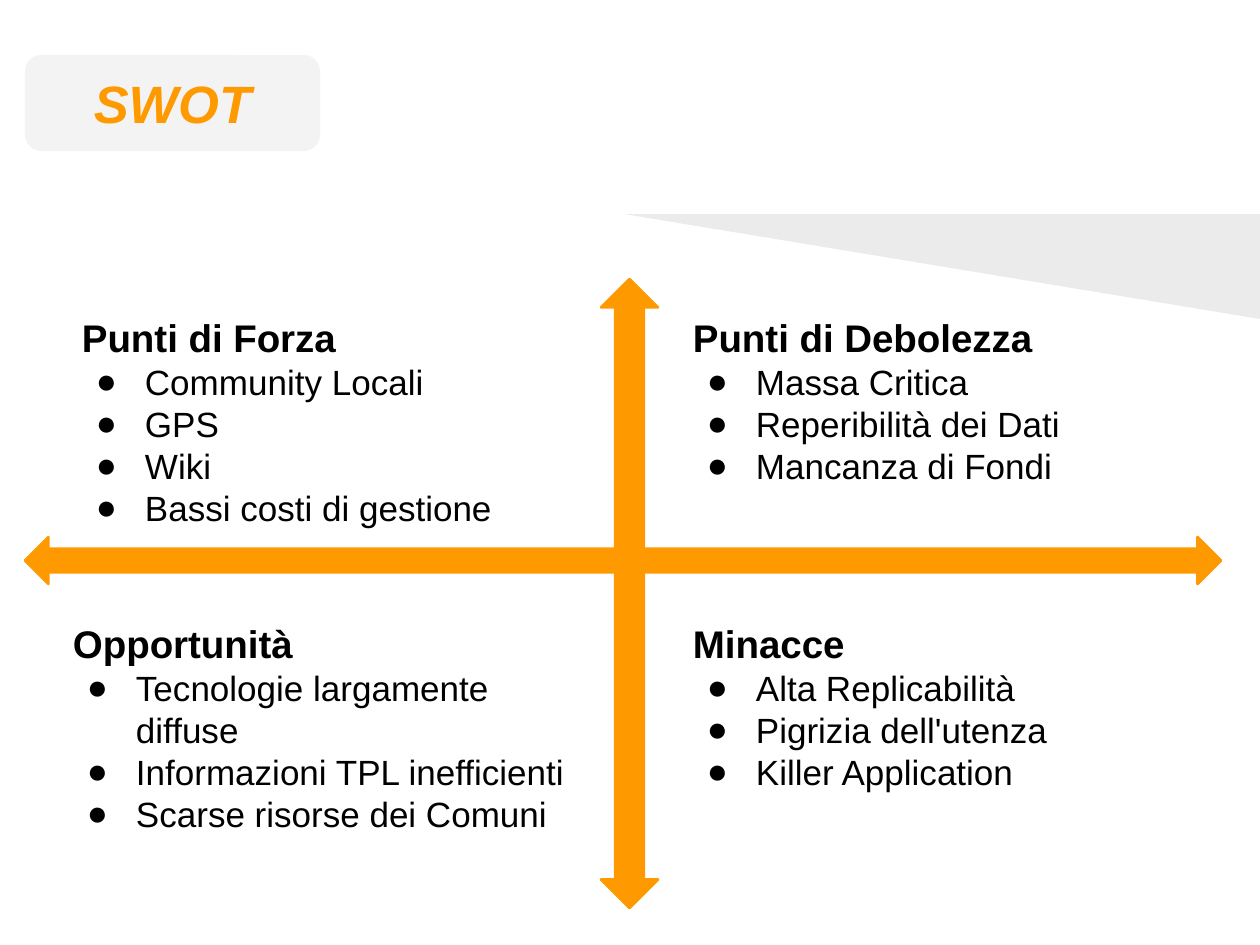
from dataclasses import dataclass

import lxml.etree
import pptx
import pptx.dml.color
import pptx.enum.shapes
import pptx.enum.text
import pptx.oxml.ns
import pptx.util

EMU_PER_PX = 914400 / 126
SHAPE = pptx.enum.shapes.MSO_SHAPE
ANCHOR = pptx.enum.text.MSO_ANCHOR


@dataclass(frozen=True)
class Theme:
    font: str = "Arial"
    accent: str = "FF9900"
    ink: str = "000000"
    badge: str = "F3F3F3"
    wedge_alpha: int = 8000
    title: int = 30
    heading: int = 22
    body: int = 20
    inset: int = 13
    bullet_margin: int = 63
    bullet_hang: int = 49


@dataclass(frozen=True)
class Box:
    left: int
    top: int
    width: int
    height: int

    def emu(self) -> list[int]:
        return [px(v) for v in (self.left, self.top, self.width, self.height)]


@dataclass(frozen=True)
class Quadrant:
    box: Box
    heading: str
    points: tuple[str, ...]


@dataclass(frozen=True)
class Axis:
    box: Box
    arrow: SHAPE


THEME = Theme()
TITLE_BOX = Box(25, 55, 295, 96)
UPPER, LOWER, RIGHT = 278, 584, 680
QUADRANT_SIZE = (541, 258)

AXES = (
    Axis(Box(25, 537, 1196, 47), SHAPE.LEFT_RIGHT_ARROW),
    Axis(Box(601, 279, 57, 629), SHAPE.UP_DOWN_ARROW),
)
QUADRANTS = (
    Quadrant(Box(69, UPPER, *QUADRANT_SIZE), "Punti di Forza",
             ("Community Locali", "GPS", "Wiki", "Bassi costi di gestione")),
    Quadrant(Box(RIGHT, UPPER, *QUADRANT_SIZE), "Punti di Debolezza",
             ("Massa Critica", "Reperibilità dei Dati", "Mancanza di Fondi")),
    Quadrant(Box(60, LOWER, *QUADRANT_SIZE), "Opportunità",
             ("Tecnologie largamente diffuse", "Informazioni TPL inefficienti",
              "Scarse risorse dei Comuni")),
    Quadrant(Box(RIGHT, LOWER, *QUADRANT_SIZE), "Minacce",
             ("Alta Replicabilità", "Pigrizia dell'utenza", "Killer Application")),
)


def px(value: int) -> int:
    return round(value * EMU_PER_PX)


def rgb(color: str) -> pptx.dml.color.RGBColor:
    return pptx.dml.color.RGBColor.from_string(color)


def add_child(parent, tag: str, **attributes: str):
    return lxml.etree.SubElement(parent, pptx.oxml.ns.qn(tag), attributes)


def fill_solid(shape, color: str) -> None:
    shape.shadow.inherit = False
    shape.fill.solid()
    shape.fill.fore_color.rgb = rgb(color)


def style_font(font, size: int, color: str, bold: bool = False, italic: bool = False) -> None:
    font.name = THEME.font
    font.size = pptx.util.Pt(size)
    font.color.rgb = rgb(color)
    font.bold = bold
    font.italic = italic


def prepare_frame(frame, anchor: ANCHOR) -> None:
    frame.word_wrap = True
    frame.auto_size = pptx.enum.text.MSO_AUTO_SIZE.NONE
    frame.vertical_anchor = anchor
    frame.margin_left = frame.margin_right = px(THEME.inset)
    frame.margin_top = frame.margin_bottom = px(THEME.inset)


def draw_wedge(slide) -> None:
    builder = slide.shapes.build_freeform(624, 214, scale=EMU_PER_PX)
    builder.add_line_segments([(1260, 214), (1260, 319)], close=True)
    wedge = builder.convert_to_shape()
    fill_solid(wedge, THEME.ink)
    wedge.line.fill.background()
    color = wedge.element.spPr.find(".//" + pptx.oxml.ns.qn("a:srgbClr"))
    add_child(color, "a:alpha", val=str(THEME.wedge_alpha))


def draw_title(slide) -> None:
    badge = slide.shapes.add_shape(SHAPE.ROUNDED_RECTANGLE, *TITLE_BOX.emu())
    fill_solid(badge, THEME.badge)
    badge.line.fill.background()
    title = slide.shapes.title
    badge.element.addnext(title.element)
    title.left, title.top, title.width, title.height = TITLE_BOX.emu()
    prepare_frame(title.text_frame, ANCHOR.MIDDLE)
    title.text_frame.text = "SWOT"
    line = title.text_frame.paragraphs[0]
    line.alignment = pptx.enum.text.PP_ALIGN.CENTER
    style_font(line.font, THEME.title, THEME.accent, bold=True, italic=True)


def draw_axis(slide, axis: Axis) -> None:
    arrow = slide.shapes.add_shape(axis.arrow, *axis.box.emu())
    fill_solid(arrow, THEME.accent)
    arrow.line.color.rgb = rgb(THEME.accent)
    arrow.line.width = pptx.util.Pt(1.5)


def add_bullet(paragraph) -> None:
    properties = paragraph._p.get_or_add_pPr()
    properties.set("marL", str(px(THEME.bullet_margin)))
    properties.set("indent", str(-px(THEME.bullet_hang)))
    mark_font = add_child(properties, "a:buFont", typeface=THEME.font)
    mark = add_child(properties, "a:buChar", char="●")
    properties.insert(0, mark_font)
    properties.insert(1, mark)


def draw_quadrant(slide, quadrant: Quadrant) -> None:
    frame = slide.shapes.add_textbox(*quadrant.box.emu()).text_frame
    prepare_frame(frame, ANCHOR.TOP)
    heading = frame.paragraphs[0]
    heading.text = quadrant.heading
    heading.line_spacing = 1.5
    style_font(heading.font, THEME.heading, THEME.ink, bold=True)
    for point in quadrant.points:
        bullet = frame.add_paragraph()
        bullet.text = point
        style_font(bullet.font, THEME.body, THEME.ink)
        add_bullet(bullet)


def main() -> None:
    deck = pptx.Presentation()
    deck.slide_width, deck.slide_height = px(1260), px(945)
    slide = deck.slides.add_slide(deck.slide_layouts[5])
    draw_wedge(slide)
    draw_title(slide)
    for axis in AXES:
        draw_axis(slide, axis)
    for quadrant in QUADRANTS:
        draw_quadrant(slide, quadrant)
    deck.save("out.pptx")


if __name__ == "__main__":
    main()
